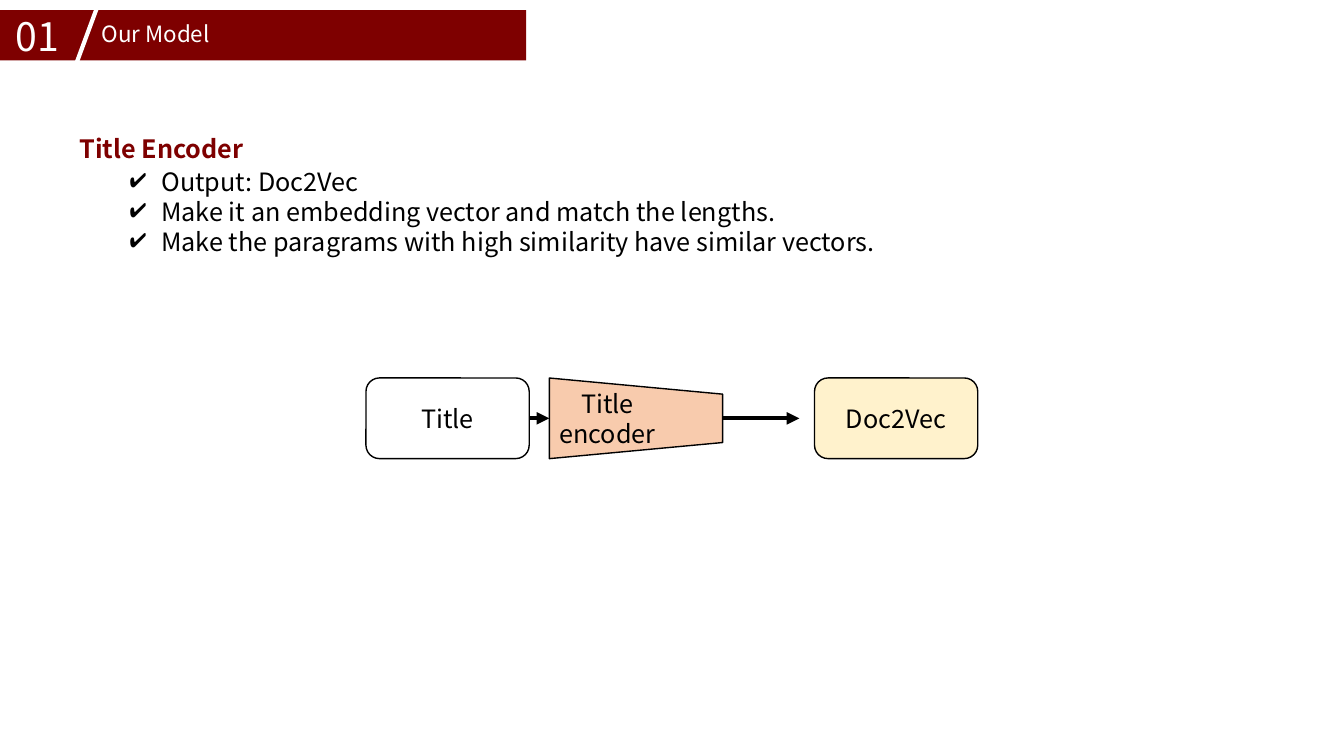
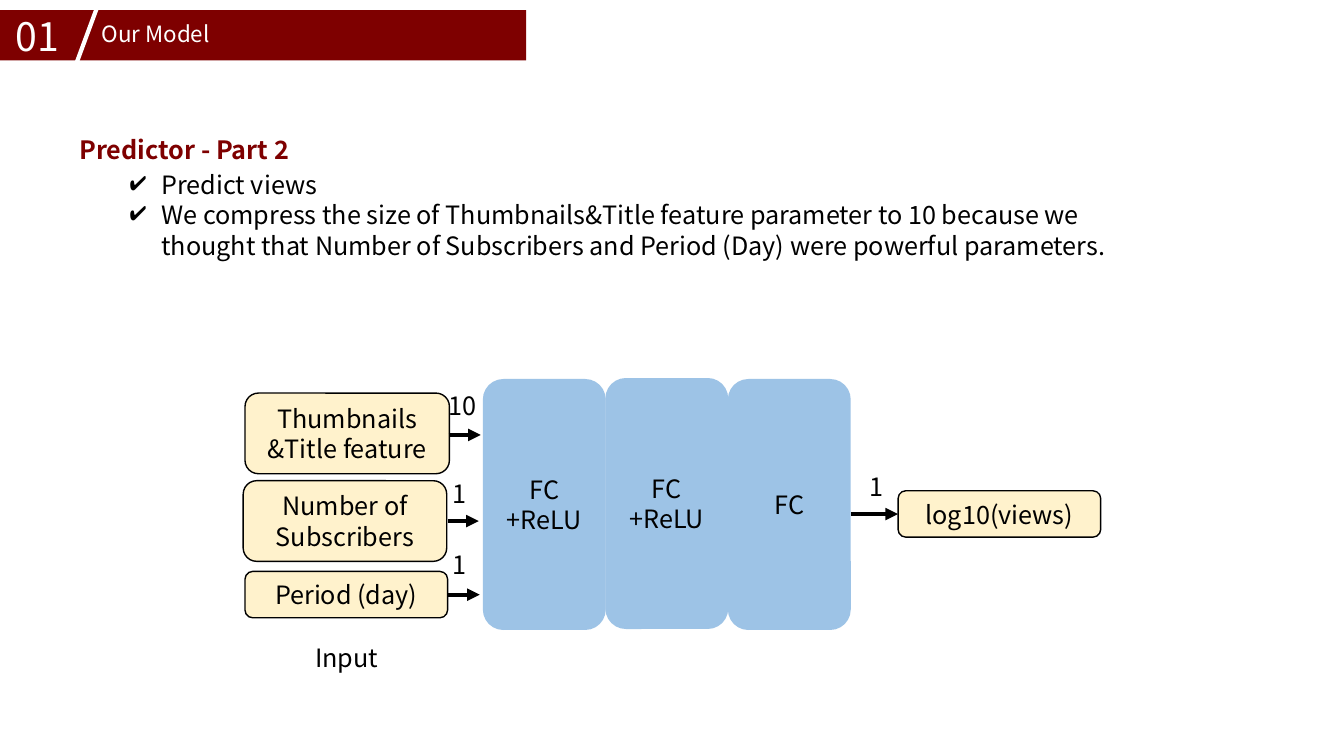
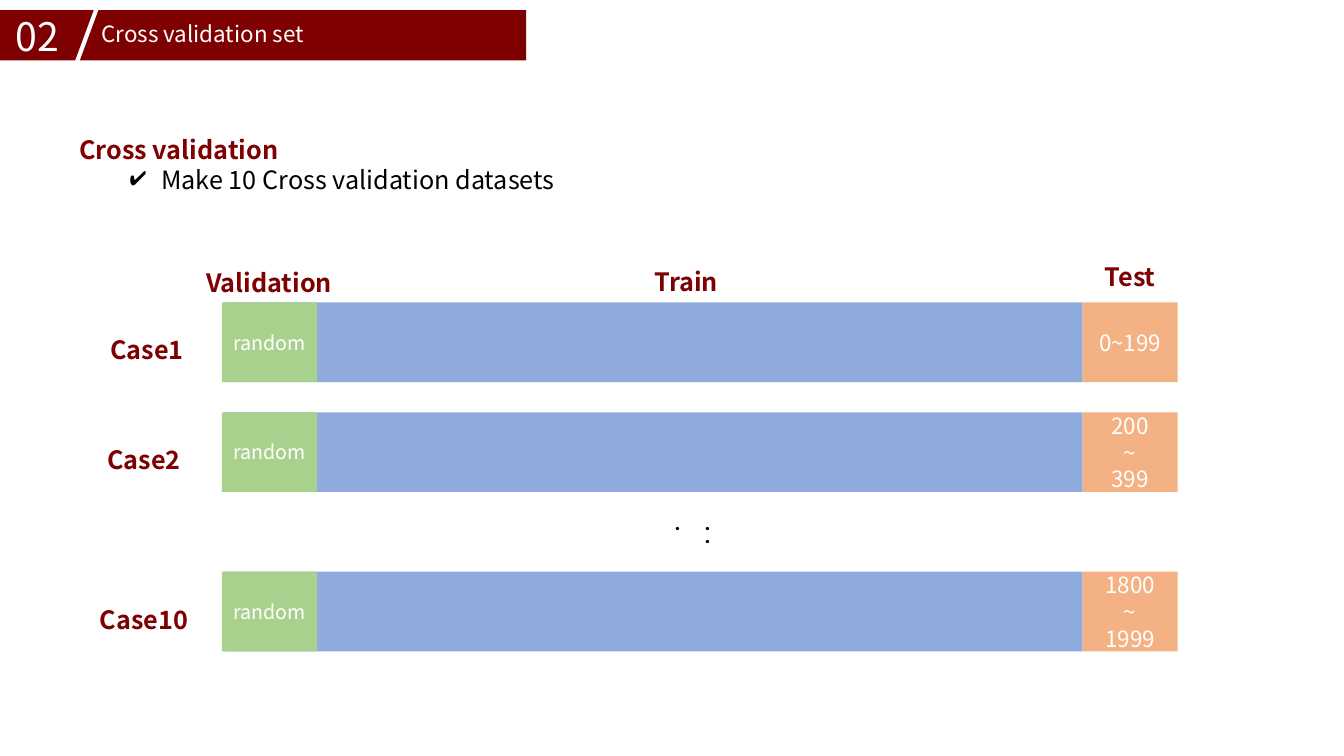
from lxml import etree
from pptx import Presentation
from pptx.dml.color import RGBColor
from pptx.enum.shapes import MSO_CONNECTOR, MSO_SHAPE
from pptx.enum.text import MSO_ANCHOR, PP_ALIGN
from pptx.oxml.ns import qn
from pptx.util import Pt

RECTANGLE = MSO_SHAPE.RECTANGLE
ROUNDED = MSO_SHAPE.ROUNDED_RECTANGLE
TRAPEZOID = MSO_SHAPE.FLOWCHART_MANUAL_OPERATION
STRAIGHT = MSO_CONNECTOR.STRAIGHT
LEFT, CENTER = PP_ALIGN.LEFT, PP_ALIGN.CENTER
MIDDLE = MSO_ANCHOR.MIDDLE

FONT = "Noto Sans CJK KR"
COLORS = {
    "maroon": "7E0000", "white": "FFFFFF", "black": "000000",
    "cream": "FFF2CC", "peach": "F8CBAD", "layer": "9DC3E6",
    "train": "8FAADC", "test": "F4B183", "validation": "A9D18E",
}


def add_box(slide, left, top, width, height, text="", kind=None, fill=None, outline=None,
            size=18, color="black", bold=False, align=CENTER, spacing=None, vertical=False):
    """Add a preset shape, or a text box when kind is None; each line of text is a paragraph."""
    area = Pt(left), Pt(top), Pt(width), Pt(height)
    if kind is None:
        shape = slide.shapes.add_textbox(*area)
    else:
        shape = slide.shapes.add_shape(kind, *area)
        shape.shadow.inherit = False
        shape.fill.solid()
        shape.fill.fore_color.rgb = RGBColor.from_string(COLORS[fill])
        if outline:
            shape.line.color.rgb = RGBColor.from_string(COLORS[outline])
            shape.line.width = Pt(1)
        else:
            shape.line.fill.background()
        shape.text_frame.vertical_anchor = MIDDLE
    frame = shape.text_frame
    frame.word_wrap = True
    if vertical:
        frame._txBody.bodyPr.set("vert", "eaVert")
    frame.text = text
    for paragraph in frame.paragraphs:
        paragraph.alignment = align
        paragraph.line_spacing = spacing
        paragraph.font.name = FONT
        paragraph.font.size = Pt(size)
        paragraph.font.bold = bold
        paragraph.font.color.rgb = RGBColor.from_string(COLORS[color])
    return shape


def add_line(slide, start_x, start_y, end_x, end_y, color="black", arrow=True):
    line = slide.shapes.add_connector(STRAIGHT, Pt(start_x), Pt(start_y), Pt(end_x), Pt(end_y))
    line.line.color.rgb = RGBColor.from_string(COLORS[color])
    line.line.width = Pt(3)
    if arrow:
        etree.SubElement(line.line._get_or_add_ln(), qn("a:tailEnd"), type="triangle")
    etree.SubElement(line._element.spPr, qn("a:effectLst"))


presentation = Presentation()
presentation.slide_width, presentation.slide_height = Pt(960), Pt(540)

# Header band, heading and check list of every slide
PAGES = [
    ("01", "Our Model", "Title Encoder", 80.6, 115.2,
     ["Output: Doc2Vec",
      "Make it an embedding vector and match the lengths.",
      "Make the paragrams with high similarity have similar vectors."]),
    ("01", "Our Model", "Predictor - Part 2", 81.4, 117.4,
     ["Predict views",
      "We compress the size of Thumbnails&Title feature parameter to 10 because we thought "
      "that Number of Subscribers and Period (Day) were powerful parameters."]),
    ("02", "Cross validation set", "Cross validation", 81.4, 113.8,
     ["Make 10 Cross validation datasets"]),
]
slides = []
for number, title, heading, heading_top, list_top, items in PAGES:
    slide = presentation.slides.add_slide(presentation.slide_layouts[6])
    slides.append(slide)
    add_box(slide, -0.7, 7.2, 376.6, 36, kind=RECTANGLE, fill="maroon")
    add_box(slide, 4.3, 5, 51.1, 41, number, size=28, color="white", align=LEFT)
    add_box(slide, 65.5, 10.8, 298.8, 26.6, title, size=16, color="white", align=LEFT)
    add_line(slide, 71.3, 0, 54, 46.8, color="white", arrow=False)
    add_box(slide, 49.7, heading_top, 418, 40, heading, color="maroon", bold=True,
            align=LEFT, spacing=1.5)
    check_list = add_box(slide, 49.7, list_top, 780.5, 24 * len(items), "\n".join(items), align=LEFT)
    for paragraph in check_list.text_frame.paragraphs:
        paragraph.level = 1
        properties = paragraph._p.get_or_add_pPr()
        properties.set("marL", str(Pt(58.5)))
        properties.set("indent", str(Pt(-22.5)))
        bullet_color = etree.Element(qn("a:buClr"))
        etree.SubElement(bullet_color, qn("a:srgbClr"), val=COLORS["black"])
        bullet = etree.Element(qn("a:buChar"), char="✔")
        properties.insert(0, bullet)
        properties.insert(0, bullet_color)

encoder_slide, predictor_slide, validation_slide = slides

# Title encoder
for left, text, fill in [(261.4, "Title", "white"), (581.8, "Doc2Vec", "cream")]:
    add_box(encoder_slide, left, 270, 116.6, 57.6, text, ROUNDED, fill, "black")
encoder = add_box(encoder_slide, 425.5, 236.9, 57.6, 123.8, "Title encoder", TRAPEZOID,
                  "peach", "black", vertical=True)
encoder.rotation = 270
for start, end in [(378.7, 392.4), (516.2, 571)]:
    add_line(encoder_slide, start, 298.8, end, 298.8)

# Predictor
LAYERS = [("FC\n+ReLU", 270.7), ("FC\n+ReLU", 270), ("FC", 270.7)]
for index, (text, top) in enumerate(LAYERS):
    add_box(predictor_slide, 344.9 + 87.5 * index, top, 87.8, 179.3, text, ROUNDED, "layer")
VALUES = [
    (175, 280.8, 146, 57.6, "Thumbnails\n&Title feature"),
    (173.7, 343.4, 145.4, 57.6, "Number of Subscribers"),
    (175, 408.2, 144.7, 33.1, "Period (day)"),
    (641.5, 350.6, 144.7, 33.1, "log10(views)"),
]
for left, top, width, height, text in VALUES:
    add_box(predictor_slide, left, top, width, height, text, ROUNDED, "cream", "black")
add_box(predictor_slide, 210.2, 455, 74.9, 28.8, "Input")
FLOWS = [  # start, end, height of the arrow, then size label, its centre and top
    (320.4, 343.4, 310.7, "10", 330.5, 275),
    (319.7, 342, 372.2, "1", 328.3, 338.4),
    (319.7, 342.7, 424.8, "1", 328.3, 388.8),
    (607.7, 641.5, 367.2, "1", 625.7, 333.4),
]
for start, end, height, label, center, label_top in FLOWS:
    add_line(predictor_slide, start, height, end, height)
    add_box(predictor_slide, center - 24.5, label_top, 49, 28.8, label)

# Cross validation cases
CASES = [
    ("Case1", 64.8, 216, "0~199"),
    ("Case2", 62.6, 294.5, "200\n~\n399"),
    ("Case10", 62.6, 408.4, "1800\n~\n1999"),
]
for name, left, top, test_range in CASES:
    add_box(validation_slide, 160.6, top, 612.7, 56.9, kind=RECTANGLE, fill="train")
    add_box(validation_slide, 773.3, top, 67.9, 56.9, test_range, RECTANGLE, "test",
            size=16, color="white")
    add_box(validation_slide, 158.4, top, 67.9, 56.9, "random", RECTANGLE, "validation",
            size=14, color="white")
    add_box(validation_slide, left, top + 8.7, 80.6, 40, name, color="maroon", bold=True, spacing=1.5)
for text, left, top, width in [("Validation", 133.9, 176.4, 116.6), ("Train", 432, 175.7, 116.6),
                               ("Test", 773.3, 172.1, 67.9)]:
    add_box(validation_slide, left, top, width, 40, text, color="maroon", bold=True, spacing=1.5)
add_box(validation_slide, 490.3, 368.6, 36, 31.7, ". . .", align=LEFT, vertical=True)

presentation.save("out.pptx")
